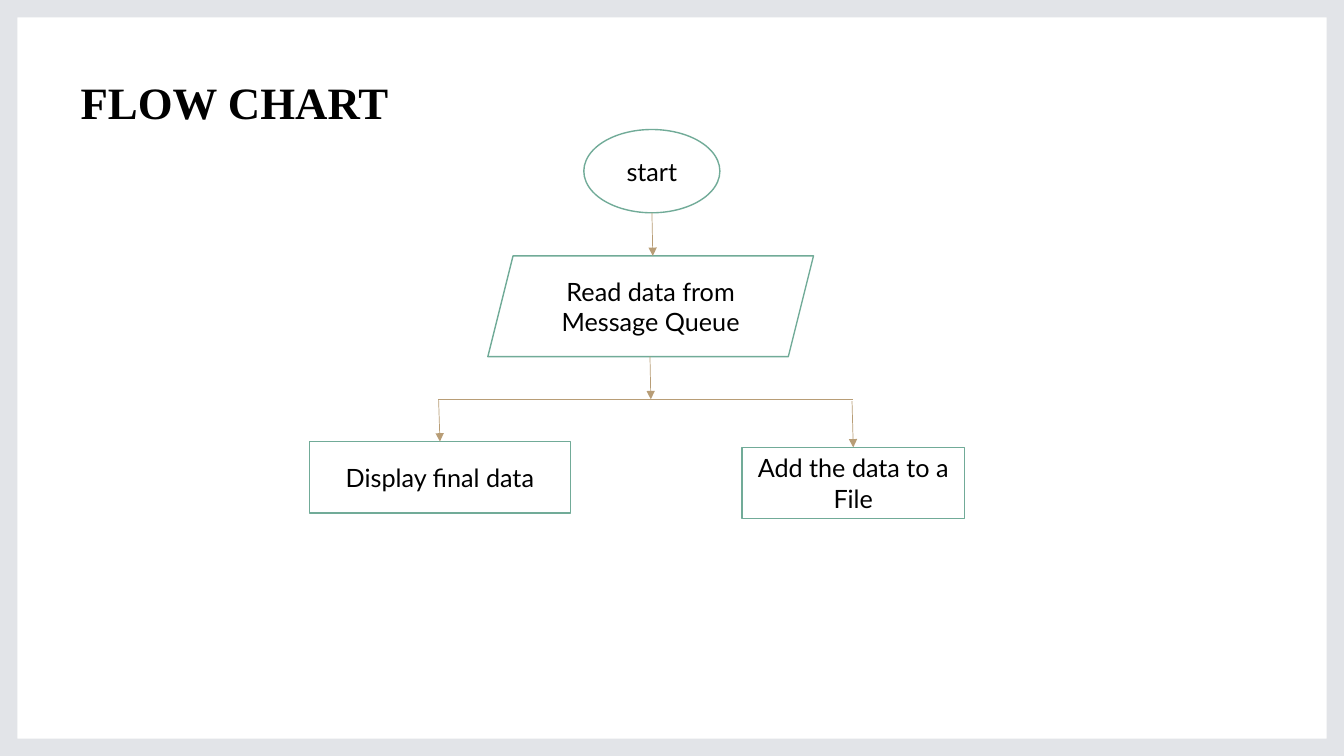
from lxml import etree
from pptx import Presentation
from pptx.dml.color import RGBColor
from pptx.enum.shapes import MSO_CONNECTOR, MSO_SHAPE
from pptx.enum.text import MSO_ANCHOR, MSO_AUTO_SIZE, PP_ALIGN
from pptx.oxml.ns import qn
from pptx.util import Pt

OVAL, SLANT = MSO_SHAPE.OVAL, MSO_SHAPE.PARALLELOGRAM
RECT, FRAME = MSO_SHAPE.RECTANGLE, MSO_SHAPE.FRAME
LINE = MSO_CONNECTOR.STRAIGHT
LEFT, CENTER = PP_ALIGN.LEFT, PP_ALIGN.CENTER
TOP, MIDDLE = MSO_ANCHOR.TOP, MSO_ANCHOR.MIDDLE

WHITE = RGBColor(0xFF, 0xFF, 0xFF)
BLACK = RGBColor(0, 0, 0)
GREY = RGBColor(0xE2, 0xE4, 0xE8)
GREEN = RGBColor(0x71, 0xAB, 0x98)
TAN = RGBColor(0xB8, 0x9D, 0x76)

WIDE, HIGH = 960, 540
HEAD = {"name": "Times New Roman", "size": Pt(32), "bold": True}
LABEL = {"name": "Lato", "size": Pt(18), "bold": False}


def write(shape, text, look, align, anchor):
    frame = shape.text_frame
    frame.word_wrap = True
    frame.auto_size = MSO_AUTO_SIZE.NONE
    frame.vertical_anchor = anchor
    frame.text = text
    par = frame.paragraphs[0]
    par.alignment = align
    for key, value in look.items():
        setattr(par.font, key, value)
    par.font.color.rgb = BLACK


def link(x1, y1, x2, y2, arrow=True):
    line = slide.shapes.add_connector(LINE, Pt(x1), Pt(y1), Pt(x2), Pt(y2))
    line.line.color.rgb = TAN
    line.line.width = Pt(0.5)
    if arrow:
        tail = etree.SubElement(line.line._get_or_add_ln(), qn("a:tailEnd"))
        tail.set("type", "triangle")
    etree.SubElement(line._element.spPr, qn("a:effectLst"))
    return line


deck = Presentation()
deck.slide_width, deck.slide_height = Pt(WIDE), Pt(HIGH)
slide = deck.slides.add_slide(deck.slide_layouts[5])
slide.background.fill.solid()
slide.background.fill.fore_color.rgb = WHITE

# Title
title = slide.shapes.title
title.left, title.top = Pt(50.4), Pt(49.7)
title.width, title.height = Pt(480), Pt(46)
write(title, "FLOW CHART", HEAD, LEFT, TOP)

# Grey border around the page
border = slide.shapes.add_shape(FRAME, 0, 0, Pt(WIDE), Pt(HIGH))
border.adjustments[0] = 0.023
border.shadow.inherit = False
border.fill.solid()
border.fill.fore_color.rgb = GREY
border.line.fill.background()

# Steps
steps = [
    (OVAL, 417, 92.5, 97.2, 59.5, "start"),
    (SLANT, 348.5, 182.8, 232.6, 72, "Read data from Message Queue"),
    (RECT, 221, 315.4, 186.5, 51, "Display final data"),
    (RECT, 530, 319.6, 159, 50.6, "Add the data to a File"),
]
nodes = []
for kind, x, y, w, h, text in steps:
    node = slide.shapes.add_shape(kind, Pt(x), Pt(y), Pt(w), Pt(h))
    node.shadow.inherit = False
    node.fill.solid()
    node.fill.fore_color.rgb = WHITE
    node.line.color.rgb = GREEN
    node.line.width = Pt(1)
    write(node, text, LABEL, CENTER, MIDDLE)
    nodes.append(node)
start, read, show, store = nodes

# Arrows and the branch line
fork = 285.2
link(465.7, 152, 466.3, 182.8)
link(464.3, 254.8, 464.9, fork)
link(313.2, fork, 609.1, fork, arrow=False)
link(313.3, fork, 314.2, 315.4).end_connect(show, 0)
link(608.6, 286.6, 609.5, 319.6).end_connect(store, 0)

deck.save("out.pptx")
